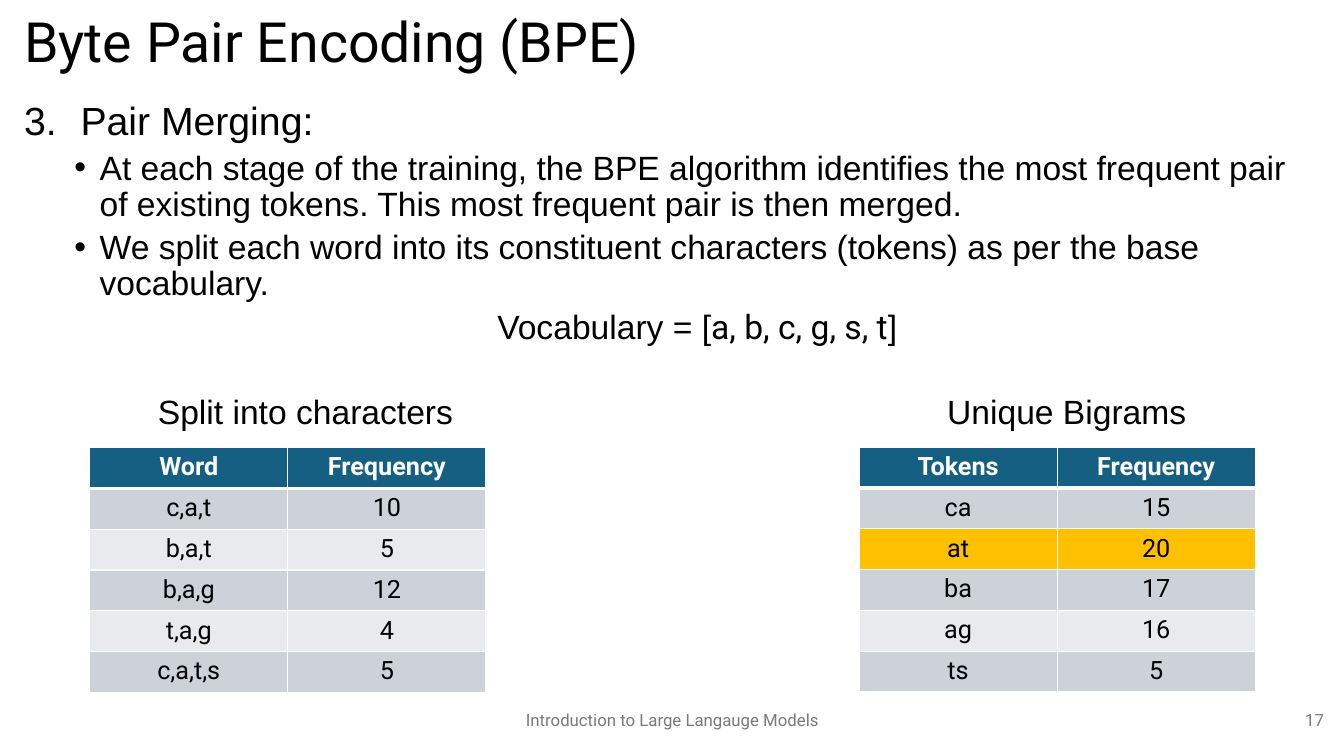
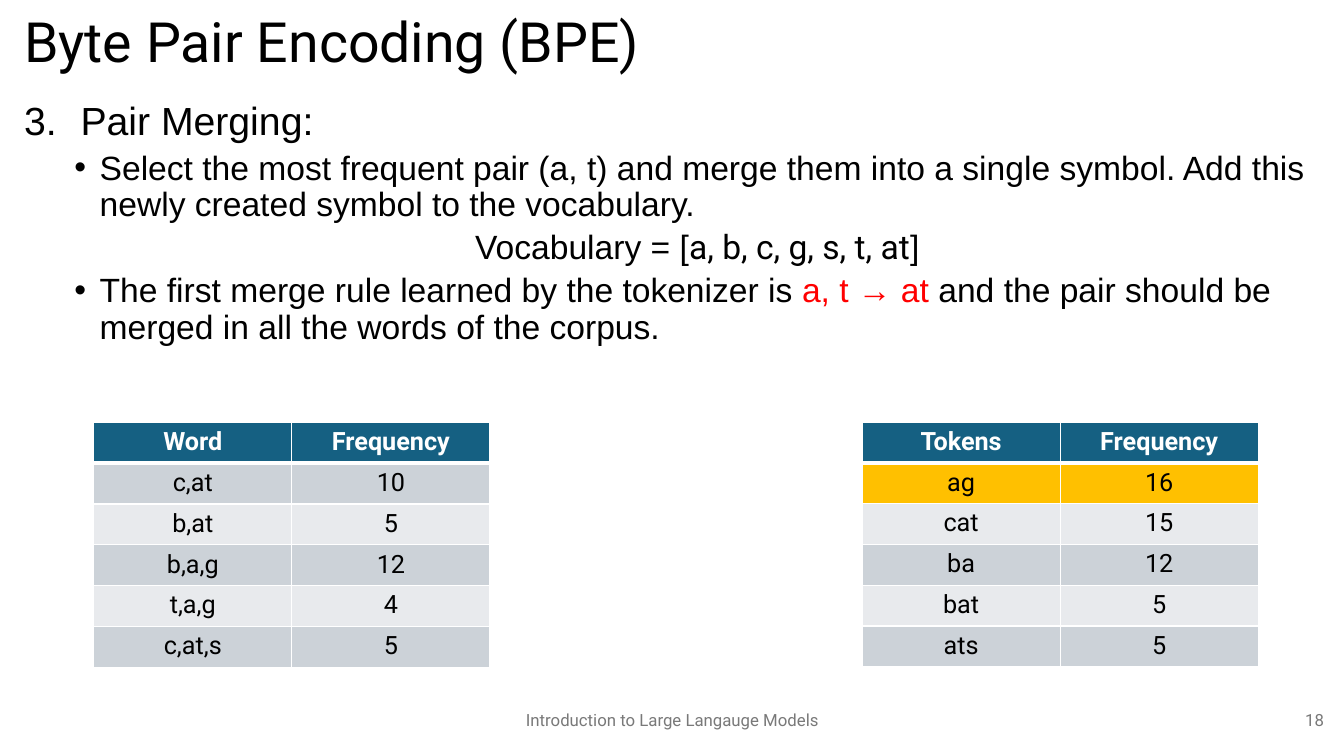
from dataclasses import dataclass

from lxml import etree
from pptx import Presentation
from pptx.dml.color import RGBColor
from pptx.enum.text import MSO_ANCHOR, PP_ALIGN
from pptx.oxml.ns import qn
from pptx.util import Inches, Pt

LEFT, CENTER, RIGHT = PP_ALIGN.LEFT, PP_ALIGN.CENTER, PP_ALIGN.RIGHT
TOP, MIDDLE = MSO_ANCHOR.TOP, MSO_ANCHOR.MIDDLE


@dataclass(frozen=True)
class Theme:
    """Colours, fonts and type sizes shared by the slides."""

    ink: str = "000000"
    muted: str = "797979"
    accent: str = "FF0000"
    white: str = "FFFFFF"
    header: str = "156082"
    bands: tuple = ("CCD2D8", "E8EAED")
    highlight: str = "FFC000"
    heading_font: str = "Roboto"
    body_font: str = "Arial"
    title_size: float = 39.6
    step_size: float = 28
    body_size: float = 24
    table_size: float = 18
    footer_size: float = 12
    line_spacing: float = 0.9


THEME = Theme()
TITLE = "Byte Pair Encoding (BPE)"
FOOTER = "Introduction to Large Langauge Models"
TABLE_WIDTH, TABLE_HEIGHT = 3.93, 2.43
WORD_HEADER, TOKEN_HEADER = ("Word", "Frequency"), ("Tokens", "Frequency")
TOKEN_HEADER_HEIGHT = 0.39


def style_font(font, name, size, color, bold=False):
    """Apply typeface, size, colour and weight to a font."""
    font.name = name
    font.size = Pt(size)
    font.bold = bold
    font.color.rgb = RGBColor.from_string(color)


def add_box(slide, left, top, width, height, anchor=TOP):
    """Add a wrapping text box and return its text frame."""
    frame = slide.shapes.add_textbox(
        Inches(left), Inches(top), Inches(width), Inches(height)).text_frame
    frame.word_wrap = True
    frame.vertical_anchor = anchor
    return frame


def add_label(slide, text, bounds, size, font=THEME.heading_font,
              color=THEME.ink, align=LEFT):
    """Add a single line of vertically centred text."""
    line = add_box(slide, *bounds, anchor=MIDDLE).paragraphs[0]
    line.text = text
    line.alignment = align
    line.line_spacing = THEME.line_spacing
    style_font(line.font, font, size, color)


def add_marker(paragraph, margin, indent, tag, **attributes):
    """Give a paragraph a hanging indent and a bullet element."""
    properties = paragraph._p.get_or_add_pPr()
    properties.set("marL", str(Inches(margin)))
    properties.set("indent", str(Inches(indent)))
    if tag == "a:buChar":
        etree.SubElement(properties, qn("a:buFont"), typeface=THEME.body_font)
    etree.SubElement(properties, qn(tag), **attributes)


def add_step(frame, number, heading):
    """Write the numbered heading in the first paragraph."""
    step = frame.paragraphs[0]
    step.text = heading
    step.line_spacing = THEME.line_spacing
    add_marker(step, 0.56, -0.56, "a:buAutoNum",
               type="arabicPeriod", startAt=str(number))
    style_font(step.font, THEME.body_font, THEME.step_size, THEME.ink)


def add_detail(frame):
    """Add an empty second-level paragraph in body style."""
    detail = frame.add_paragraph()
    detail.level = 1
    detail.line_spacing = THEME.line_spacing
    detail.space_before = Pt(5)
    return detail


def add_bullet(frame, *parts):
    """Add a bullet whose every second part is in the accent colour."""
    bullet = add_detail(frame)
    add_marker(bullet, 0.75, -0.25, "a:buChar", char="•")
    style_font(bullet.font, THEME.body_font, THEME.body_size, THEME.ink)
    for index, part in enumerate(parts):
        run = bullet.add_run()
        run.text = part
        if index % 2:
            run.font.color.rgb = RGBColor.from_string(THEME.accent)


def add_vocabulary(frame, tokens):
    """Add the centred vocabulary line."""
    vocabulary = add_detail(frame)
    vocabulary.alignment = CENTER
    add_marker(vocabulary, 0.5, 0, "a:buNone")
    style_font(vocabulary.font, THEME.body_font, THEME.body_size, THEME.ink)
    for part in ("Vocabulary = [", tokens, "]"):
        run = vocabulary.add_run()
        run.text = part
        if part == tokens:
            run.font.name = THEME.heading_font


def set_borders(cell, top, bottom):
    """Draw white borders around a cell, with widths in points."""
    properties = cell._tc.get_or_add_tcPr()
    for side, width in (("L", 1), ("R", 1), ("T", top), ("B", bottom)):
        border = etree.SubElement(properties, qn(f"a:ln{side}"), w=str(Pt(width)))
        fill = etree.SubElement(border, qn("a:solidFill"))
        etree.SubElement(fill, qn("a:srgbClr"), val=THEME.white)


def add_frequency_table(slide, left, top, header, entries,
                        highlighted=None, header_height=TABLE_HEIGHT / 6):
    """Add a banded frequency table, optionally highlighting one entry."""
    rows = [header, *entries]
    table = slide.shapes.add_table(
        len(rows), len(header), Inches(left), Inches(top),
        Inches(TABLE_WIDTH), Inches(TABLE_HEIGHT)).table
    table.horz_banding = False
    table.rows[0].height = Inches(header_height)
    for row_index, row in enumerate(rows):
        is_header = row_index == 0
        if is_header:
            background = THEME.header
        elif row[0] == highlighted:
            background = THEME.highlight
        else:
            background = THEME.bands[(row_index - 1) % 2]
        for column_index, value in enumerate(row):
            cell = table.cell(row_index, column_index)
            set_borders(cell, 3 if row_index == 1 else 1, 3 if is_header else 1)
            cell.fill.solid()
            cell.fill.fore_color.rgb = RGBColor.from_string(background)
            entry = cell.text_frame.paragraphs[0]
            entry.text = str(value)
            entry.alignment = CENTER
            style_font(entry.font, THEME.heading_font, THEME.table_size,
                       THEME.white if is_header else THEME.ink, is_header)


def add_caption(slide, text, center):
    """Add a table caption centred on a horizontal position."""
    add_label(slide, text, (center - TABLE_WIDTH / 2, 3.88, TABLE_WIDTH, 0.45),
              THEME.body_size, THEME.body_font, align=CENTER)


def start_slide(deck, number):
    """Add a slide with title, footer and step heading; return it and its body."""
    slide = deck.slides.add_slide(deck.slide_layouts[6])
    add_label(slide, TITLE, (0.14, 0.09, 13.05, 0.7), THEME.title_size)
    body = add_box(slide, 0.14, 0.96, 13.05, 2.85)
    add_step(body, 3, "Pair Merging:")
    add_label(slide, FOOTER, (4.42, 6.95, 4.5, 0.4), THEME.footer_size,
              color=THEME.muted, align=CENTER)
    add_label(slide, str(number), (10.23, 6.95, 3, 0.4), THEME.footer_size,
              color=THEME.muted, align=RIGHT)
    return slide, body


def build_bigram_slide(deck):
    """Build the slide that counts bigrams."""
    slide, body = start_slide(deck, 17)
    add_bullet(body, "At each stage of the training, the BPE algorithm identifies "
               "the most frequent pair of existing tokens. This most frequent "
               "pair is then merged.")
    add_bullet(body, "We split each word into its constituent characters (tokens) "
               "as per the base vocabulary.")
    add_vocabulary(body, "a, b, c, g, s, t")
    add_caption(slide, "Split into characters", 3.03)
    add_caption(slide, "Unique Bigrams", 10.58)
    add_frequency_table(
        slide, 0.89, 4.44, WORD_HEADER,
        [("c,a,t", 10), ("b,a,t", 5), ("b,a,g", 12), ("t,a,g", 4), ("c,a,t,s", 5)])
    add_frequency_table(
        slide, 8.52, 4.44, TOKEN_HEADER,
        [("ca", 15), ("at", 20), ("ba", 17), ("ag", 16), ("ts", 5)],
        "at", TOKEN_HEADER_HEIGHT)


def build_merge_slide(deck):
    """Build the slide that applies the first merge."""
    slide, body = start_slide(deck, 18)
    add_bullet(body, "Select the most frequent pair (a, t) and merge them into a "
               "single symbol. Add this newly created symbol to the vocabulary.")
    add_vocabulary(body, "a, b, c, g, s, t, at")
    add_bullet(body, "The first merge rule learned by the tokenizer is ",
               "a, t → at ",
               "and the pair should be merged in all the words of the corpus.")
    add_frequency_table(
        slide, 0.93, 4.19, WORD_HEADER,
        [("c,at", 10), ("b,at", 5), ("b,a,g", 12), ("t,a,g", 4), ("c,at,s", 5)])
    add_frequency_table(
        slide, 8.55, 4.19, TOKEN_HEADER,
        [("ag", 16), ("cat", 15), ("ba", 12), ("bat", 5), ("ats", 5)],
        "ag", TOKEN_HEADER_HEIGHT)


def main():
    """Build and save the presentation."""
    deck = Presentation()
    deck.slide_width, deck.slide_height = Inches(13.33), Inches(7.5)
    build_bigram_slide(deck)
    build_merge_slide(deck)
    deck.save("out.pptx")


if __name__ == "__main__":
    main()
